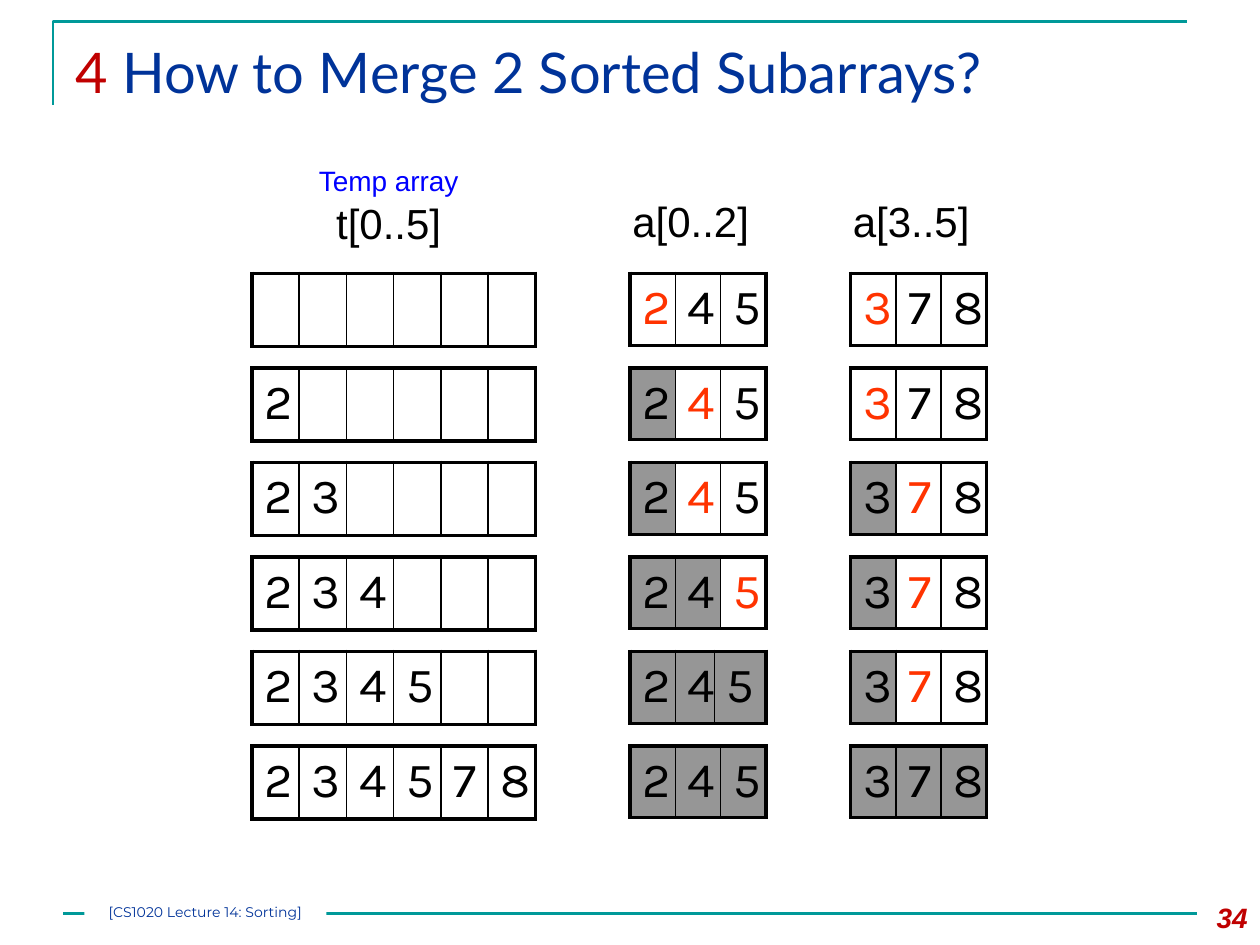
from dataclasses import dataclass

from lxml import etree
from pptx import Presentation
from pptx.dml.color import RGBColor
from pptx.enum.shapes import MSO_CONNECTOR, MSO_SHAPE
from pptx.enum.text import MSO_ANCHOR, PP_ALIGN
from pptx.oxml.ns import qn
from pptx.util import Inches, Pt


@dataclass(frozen=True)
class Theme:
    teal: str = "009999"
    navy: str = "003399"
    crimson: str = "C00000"
    blue: str = "0000FF"
    black: str = "000000"
    white: str = "FFFFFF"
    current: str = "FF3300"
    used: str = "969696"
    title_size: int = 32
    digit_size: int = 28
    label_size: int = 24
    small_size: int = 16
    footer_size: int = 8
    rule: float = 1.5
    outer: float = 2.25
    inner: float = 1


theme = Theme()

# Content: paragraphs are lists of (text, size, font, colour) runs
TITLE = [[("4 ", theme.title_size, "Lato", theme.crimson),
          ("How to Merge 2 Sorted Subarrays?", theme.title_size, "Lato", theme.navy)]]
PAGE_NUMBER = [[("34", theme.small_size, "Arial", theme.crimson)]]
FOOTER = [[("[CS1020 Lecture 14: Sorting]", theme.footer_size, "Montserrat", theme.navy)]]
TEMP_LABEL = [[("Temp array", theme.small_size, "Arial", theme.blue)],
              [("t[0..5]", theme.label_size, "Arial", theme.black)]]
HALF_LABELS = [(4.92, "a[0..2]"), (6.67, "a[3..5]")]

LEFT, RIGHT = "245", "378"
MERGED = sorted(LEFT + RIGHT)
# Values merged, values used from the left half, values used from the right half
STEPS = [(0, 0, 0), (1, 1, 0), (2, 1, 1), (3, 2, 1), (4, 3, 1), (6, 3, 3)]

# Layout in inches
FIRST_TOP, STEP_PITCH = 2.17, 0.75
TEMP_X, LEFT_X, RIGHT_X = 2, 5, 6.75
TEMP_WIDTHS = [0.375] * 6
HALF_WIDTHS = [0.36] * 3
UNEVEN_WIDTHS = [0.36, 0.31, 0.41]
UNEVEN_STEP = 4
TEMP_HEIGHT, HALF_HEIGHT = 0.58, 0.57


def color(value):
    return RGBColor.from_string(value)


def add_run(paragraph, text, size, font, fill):
    run = paragraph.add_run()
    run.text = text
    run.font.size = Pt(size)
    run.font.name = font
    run.font.color.rgb = color(fill)
    return run


def write(frame, paragraphs, align=PP_ALIGN.LEFT):
    for index, runs in enumerate(paragraphs):
        paragraph = frame.add_paragraph() if index else frame.paragraphs[0]
        paragraph.alignment = align
        for run in runs:
            add_run(paragraph, *run)


def add_text(slide, box, paragraphs, align=PP_ALIGN.LEFT, wrap=True):
    frame = slide.shapes.add_textbox(*map(Inches, box)).text_frame
    frame.word_wrap = wrap
    write(frame, paragraphs, align)
    return frame


def set_borders(cell, first, last):
    widths = {"a:lnL": theme.outer if first else theme.inner,
              "a:lnR": theme.outer if last else theme.inner,
              "a:lnT": theme.outer, "a:lnB": theme.outer}
    properties = cell._tc.get_or_add_tcPr()
    for tag, width in widths.items():
        line = etree.SubElement(properties, qn(tag), w=str(Pt(width)))
        fill = etree.SubElement(line, qn("a:solidFill"))
        etree.SubElement(fill, qn("a:srgbClr"), val=theme.black)


def add_array(slide, x, y, widths, height, digits, align, used=0, current=None):
    """Draw one array; the first `used` cells are grey, `current` is red."""
    box = map(Inches, (x, y, sum(widths), height))
    table = slide.shapes.add_table(1, len(widths), *box).table
    table.first_row = table.horz_banding = False
    for index, width in enumerate(widths):
        table.columns[index].width = Inches(width)
        cell = table.cell(0, index)
        set_borders(cell, index == 0, index == len(widths) - 1)
        if index < used:
            cell.fill.solid()
            cell.fill.fore_color.rgb = color(theme.used)
        else:
            cell.fill.background()
        if index < len(digits):
            ink = theme.current if index == current else theme.black
            write(cell.text_frame, [[(digits[index], theme.digit_size, "Karla", ink)]], align)


def add_frame_lines(slide):
    # Corner rule around the title
    builder = slide.shapes.build_freeform(Inches(0.42), Inches(0.83))
    builder.add_line_segments([(Inches(0.42), Inches(0.17)),
                               (Inches(9.42), Inches(0.17))], close=False)
    corner = builder.convert_to_shape()
    corner.shadow.inherit = False
    corner.fill.background()
    # Footer rule
    rule = slide.shapes.add_connector(
        MSO_CONNECTOR.STRAIGHT, *map(Inches, (0.5, 7.25, 9.5, 7.25)))
    etree.SubElement(rule._element.spPr, qn("a:effectLst"))
    for shape in (corner, rule):
        shape.line.color.rgb = color(theme.teal)
        shape.line.width = Pt(theme.rule)


def add_footer(slide):
    shape = slide.shapes.add_shape(
        MSO_SHAPE.RECTANGLE, *map(Inches, (0.67, 7.17, 1.92, 0.17)))
    shape.shadow.inherit = False
    shape.fill.solid()
    shape.fill.fore_color.rgb = color(theme.white)
    shape.line.fill.background()
    frame = shape.text_frame
    frame.margin_left = frame.margin_right = frame.margin_top = frame.margin_bottom = 0
    frame.vertical_anchor = MSO_ANCHOR.TOP
    write(frame, FOOTER, PP_ALIGN.CENTER)


def main():
    presentation = Presentation()
    presentation.slide_width, presentation.slide_height = Inches(10), Inches(7.5)
    slide = presentation.slides.add_slide(presentation.slide_layouts[6])

    # Title, rules and page number
    add_frame_lines(slide)
    add_text(slide, (0.5, 0.25, 9.17, 1), TITLE)
    number = add_text(slide, (9.33, 7.1, 0.67, 0.4), PAGE_NUMBER, PP_ALIGN.RIGHT)
    number_font = number.paragraphs[0].runs[0].font
    number_font.bold = number_font.italic = True

    # Array labels
    add_text(slide, (2.42, 1.25, 1.33, 0.77), TEMP_LABEL, PP_ALIGN.CENTER, wrap=False)
    for x, label in HALF_LABELS:
        add_text(slide, (x, 1.5, 1.2, 0.5),
                 [[(label, theme.label_size, "Arial", theme.black)]], wrap=False)

    # One row of three arrays per merge step
    for step, (merged, left_used, right_used) in enumerate(STEPS):
        y = FIRST_TOP + step * STEP_PITCH
        left_widths = UNEVEN_WIDTHS if step == UNEVEN_STEP else HALF_WIDTHS
        add_array(slide, TEMP_X, y, TEMP_WIDTHS, TEMP_HEIGHT, MERGED[:merged], PP_ALIGN.LEFT)
        add_array(slide, LEFT_X, y, left_widths, HALF_HEIGHT, LEFT,
                  PP_ALIGN.CENTER, left_used, left_used)
        add_array(slide, RIGHT_X, y, HALF_WIDTHS, HALF_HEIGHT, RIGHT,
                  PP_ALIGN.CENTER, right_used, right_used)

    add_footer(slide)
    presentation.save("out.pptx")


if __name__ == "__main__":
    main()
